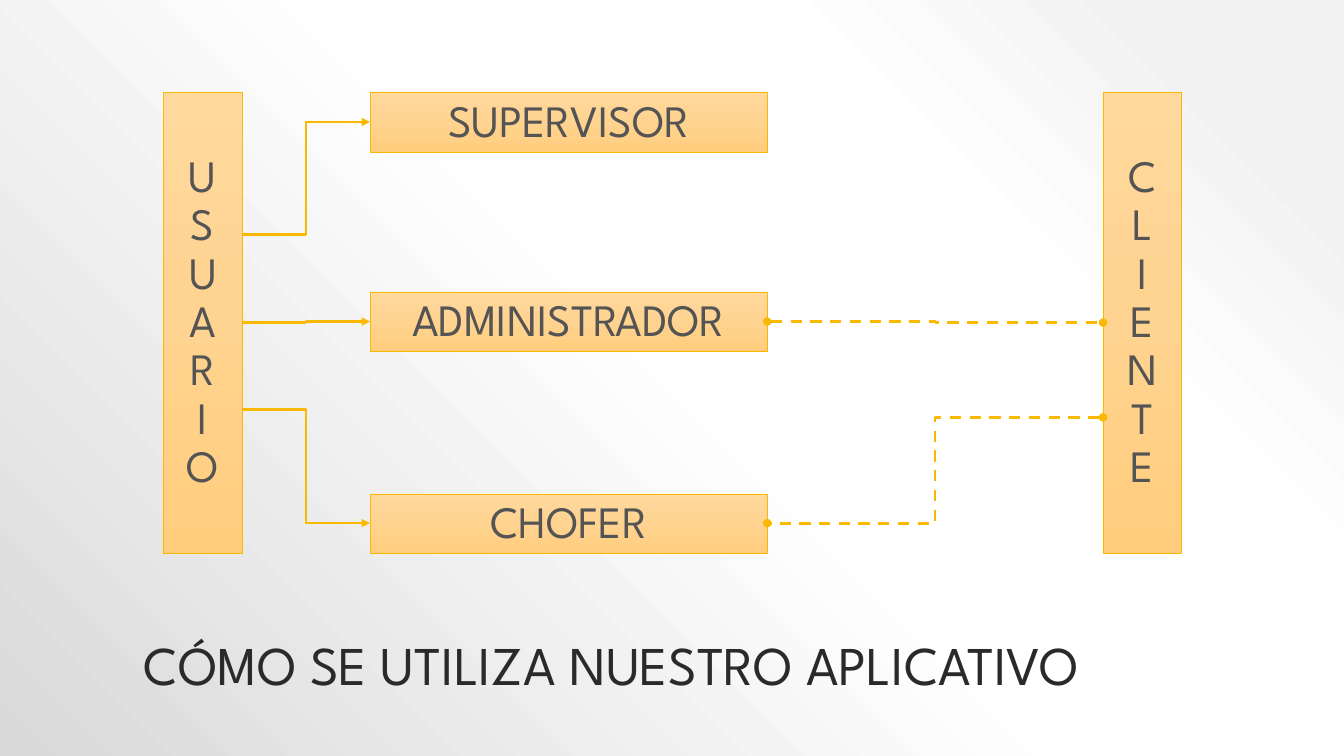
from dataclasses import dataclass, field

from lxml.etree import SubElement
from pptx import Presentation
from pptx.dml.color import RGBColor
from pptx.enum.dml import MSO_LINE_DASH_STYLE as Dash
from pptx.enum.shapes import MSO_CONNECTOR as Connector, MSO_SHAPE as Shape
from pptx.enum.text import MSO_ANCHOR as Anchor, MSO_AUTO_SIZE as AutoSize, PP_ALIGN as Align
from pptx.oxml.ns import qn
from pptx.util import Pt

EMU_PER_PX = 9144


@dataclass(frozen=True)
class Theme:
    font: str = "League Spartan"
    title_size: int = 39
    label_size: int = 32
    border: float = 0.5
    stroke: int = 2
    title: str = "2A2A2A"
    label: str = "545454"
    gold: str = "FAB900"
    box: tuple = ((0, "FFD99E"), (50, "FFD390"), (100, "FFCD7C"))
    backdrop: tuple = ((10, "F2F2F2"), (28, "FFFFFF"), (48, "FFFFFF"), (100, "D9D9D9"))


@dataclass(frozen=True)
class Box:
    text: str
    x: int
    y: int
    w: int
    h: int
    vertical: bool = False


@dataclass(frozen=True)
class Link:
    x1: int
    y1: int
    x2: int
    y2: int
    ends: dict = field(default_factory=lambda: {"tailEnd": "triangle"})
    dash: Dash = Dash.SOLID


THEME = Theme()
TOP, COLUMN_W, COLUMN_H = 92, 78, 457
ROLE_X, ROLE_W, ROLE_H = 367, 394, 59
USER_X, CLIENT_X = 162, 1094
USER_RIGHT, ROLE_RIGHT = USER_X + COLUMN_W, ROLE_X + ROLE_W
DOTS = {"headEnd": "oval", "tailEnd": "oval"}

ROLES = [Box(text, ROLE_X, y, ROLE_W, ROLE_H)
         for text, y in (("SUPERVISOR", TOP), ("ADMINISTRADOR", 290), ("CHOFER", 490))]
COLUMNS = [Box(text, x, TOP, COLUMN_W, COLUMN_H, True)
           for text, x in (("USUARIO", USER_X), ("CLIENTE", CLIENT_X))]
LINKS = [
    Link(USER_RIGHT, 233, ROLE_X, 121),
    Link(USER_RIGHT, 406, ROLE_X, 519),
    Link(USER_RIGHT, 320, ROLE_X, 319),
    Link(ROLE_RIGHT, 319, CLIENT_X, 320, DOTS, Dash.DASH),
    Link(CLIENT_X, 414, ROLE_RIGHT, 519, DOTS, Dash.DASH),
]


def px(*values: int) -> list[int]:
    return [v * EMU_PER_PX for v in values]


def set_all(target, values: dict) -> None:
    for name, value in values.items():
        setattr(target, name, value)


def set_stops(grad, stops: tuple) -> None:
    gs_lst = grad.find(qn("a:gsLst"))
    for gs in list(gs_lst):
        gs_lst.remove(gs)
    for pos, color in stops:
        gs = SubElement(gs_lst, qn("a:gs"), pos=str(pos * 1000))
        SubElement(gs, qn("a:srgbClr"), val=color)


def paint_backdrop(slide) -> None:
    slide.background.fill.gradient()
    grad = slide._element.find(".//" + qn("a:gradFill"))
    set_stops(grad, THEME.backdrop)
    grad.remove(grad.find(qn("a:lin")))
    radial = SubElement(grad, qn("a:path"), path="circle")
    SubElement(radial, qn("a:fillToRect"), l="100000", b="100000")


def set_line(line, width: float) -> None:
    line.color.rgb = RGBColor.from_string(THEME.gold)
    line.width = Pt(width)


def write(tf, text: str, size: int, color: str, frame: dict, align: Align) -> None:
    set_all(tf, {"word_wrap": True, **frame})
    p = tf.paragraphs[0]
    set_all(p, {"alignment": align, "line_spacing": 0.9})
    r = p.add_run()
    r.text = text
    set_all(r.font, {"name": THEME.font, "size": Pt(size)})
    r.font.color.rgb = RGBColor.from_string(color)


def draw_title(slide, text: str) -> None:
    sp = slide.shapes.add_textbox(*px(133, 439, 1067, 258))
    write(sp.text_frame, text, THEME.title_size, THEME.title,
          {"vertical_anchor": Anchor.BOTTOM}, Align.LEFT)


def draw_box(slide, box: Box) -> None:
    sp = slide.shapes.add_shape(Shape.RECTANGLE, *px(box.x, box.y, box.w, box.h))
    sp.shadow.inherit = False
    sp.fill.gradient()
    sp.fill.gradient_angle = 270
    set_stops(sp._element.spPr.find(qn("a:gradFill")), THEME.box)
    set_line(sp.line, THEME.border)
    write(sp.text_frame, box.text, THEME.label_size, THEME.label,
          {"vertical_anchor": Anchor.MIDDLE, "auto_size": AutoSize.SHAPE_TO_FIT_TEXT},
          Align.CENTER)
    if box.vertical:
        sp.text_frame._txBody.bodyPr.set("vert", "wordArtVert")


def draw_link(slide, link: Link) -> None:
    sp = slide.shapes.add_connector(
        Connector.ELBOW, *px(link.x1, link.y1, link.x2, link.y2))
    set_line(sp.line, THEME.stroke)
    sp.line.dash_style = link.dash
    ln = sp._element.spPr.find(qn("a:ln"))
    for end, kind in link.ends.items():
        SubElement(ln, qn(f"a:{end}"), type=kind)
    SubElement(sp._element.spPr, qn("a:effectLst"))


def main() -> None:
    prs = Presentation()
    width, height = px(1333, 750)
    set_all(prs, {"slide_width": width, "slide_height": height})
    slide = prs.slides.add_slide(prs.slide_layouts[6])
    paint_backdrop(slide)
    draw_title(slide, "CÓMO SE UTILIZA NUESTRO APLICATIVO")
    for box in COLUMNS + ROLES:
        draw_box(slide, box)
    for link in LINKS:
        draw_link(slide, link)
    prs.save("out.pptx")


if __name__ == "__main__":
    main()
